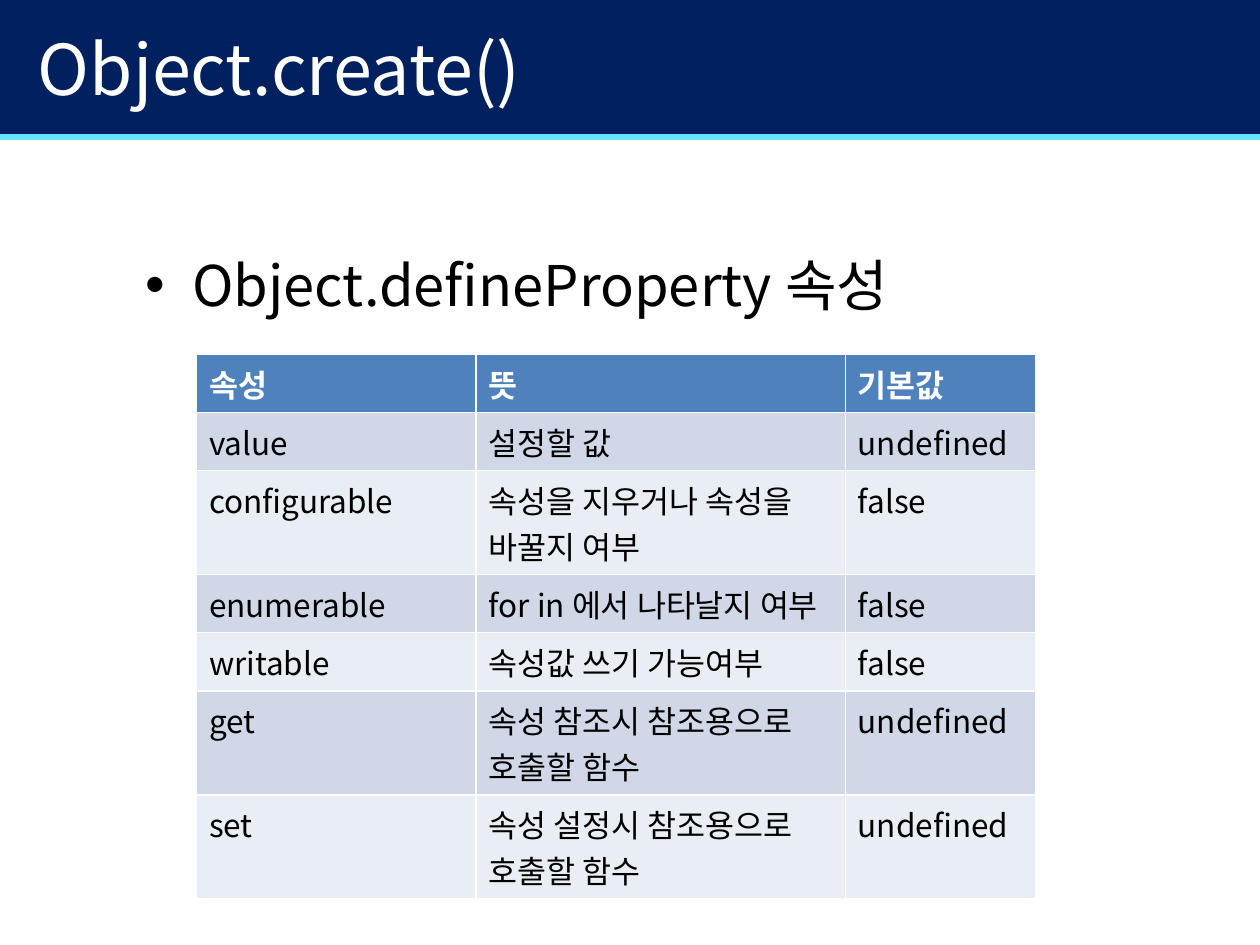
from dataclasses import dataclass

from lxml import etree
from pptx import Presentation
from pptx.dml.color import RGBColor
from pptx.enum.shapes import MSO_SHAPE
from pptx.enum.text import MSO_ANCHOR, PP_ALIGN
from pptx.oxml.ns import qn
from pptx.util import Cm, Pt

RECT = MSO_SHAPE.RECTANGLE
LEFT = PP_ALIGN.LEFT
MIDDLE = MSO_ANCHOR.MIDDLE


@dataclass(frozen=True)
class Theme:
    """Colours, type face and type sizes of the slide."""
    face: str = "Noto Sans CJK KR"
    navy: str = "002060"
    cyan: str = "65E2FF"
    white: str = "FFFFFF"
    black: str = "000000"
    head: str = "4F81BD"
    bands: tuple = ("E9EDF4", "D0D8E8")
    title: int = 40
    body: int = 32
    cell: int = 18


THEME = Theme()
ROWS = [
    ("속성", "뜻", "기본값"),
    ("value", "설정할 값", "undefined"),
    ("configurable", "속성을 지우거나 속성을 바꿀지 여부", "false"),
    ("enumerable", "for in 에서 나타날지 여부", "false"),
    ("writable", "속성값 쓰기 가능여부", "false"),
    ("get", "속성 참조시 참조용으로 호출할 함수", "undefined"),
    ("set", "속성 설정시 참조용으로 호출할 함수", "undefined"),
]


def paint(item, color):
    """Fill a shape or cell with one solid colour."""
    item.fill.solid()
    item.fill.fore_color.rgb = RGBColor.from_string(color)


def write(frame, text, size, color, bold=False):
    """Put one styled paragraph into a text frame."""
    frame.text = text
    para = frame.paragraphs[0]
    font = para.font
    font.name, font.size, font.bold = THEME.face, Pt(size), bold
    font.color.rgb = RGBColor.from_string(color)
    props = para._p.pPr.find(qn("a:defRPr"))
    etree.SubElement(props, qn("a:ea")).set("typeface", THEME.face)
    return para


def place(shape, left, top, width, height):
    """Move and size a shape in centimetres."""
    shape.left, shape.top = Cm(left), Cm(top)
    shape.width, shape.height = Cm(width), Cm(height)


def add_band(slide, left, top, width, height, color):
    """Add a plain bar behind everything else."""
    bar = slide.shapes.add_shape(RECT, Cm(left), Cm(top), Cm(width), Cm(height))
    bar.shadow.inherit = False
    bar.line.fill.background()
    paint(bar, color)
    slide.shapes._spTree.insert(2, bar._element)


def add_header(slide, text, left, top, width, height):
    """Build the title bar with its accent line."""
    rule = 0.12
    add_band(slide, left, top, width, height - rule, THEME.navy)
    add_band(slide, left, top + height - rule, width, rule, THEME.cyan)
    title = slide.shapes.title
    place(title, left + 0.54, top - 0.23, 22.86, 3.18)
    title.text_frame.vertical_anchor = MIDDLE
    write(title.text_frame, text, THEME.title, THEME.white).alignment = LEFT


def add_list(slide, text, *box):
    """Place the bullet list in its box."""
    body = slide.placeholders[1]
    place(body, *box)
    write(body.text_frame, text, THEME.body, THEME.black)


def add_grid(slide, rows, left, top, widths, height):
    """Build the property table with banded rows."""
    frame = slide.shapes.add_table(
        len(rows), len(widths), Cm(left), Cm(top),
        Cm(sum(widths)), Cm(height * len(rows)))
    table = frame.table
    for column, width in zip(table.columns, widths):
        column.width = Cm(width)
    for r, row in enumerate(rows):
        top_row = r == 0
        fill = THEME.head if top_row else THEME.bands[r % 2]
        ink = THEME.white if top_row else THEME.black
        table.rows[r].height = Cm(height)
        for c, text in enumerate(row):
            cell = table.cell(r, c)
            paint(cell, fill)
            write(cell.text_frame, text, THEME.cell, ink, top_row)


def main():
    """Build and save the slide."""
    deck = Presentation()
    deck.slide_width, deck.slide_height = Cm(25.4), Cm(19.05)
    slide = deck.slides.add_slide(deck.slide_layouts[1])
    add_header(slide, "Object.create()", -0.03, 0, 25.43, 2.82)
    add_list(slide, "Object.defineProperty 속성", 2.67, 4.93, 20.07, 11.2)
    add_grid(slide, ROWS, 3.96, 7.14, (5.64, 7.44, 3.84), 1.03)
    deck.save("out.pptx")


if __name__ == "__main__":
    main()
